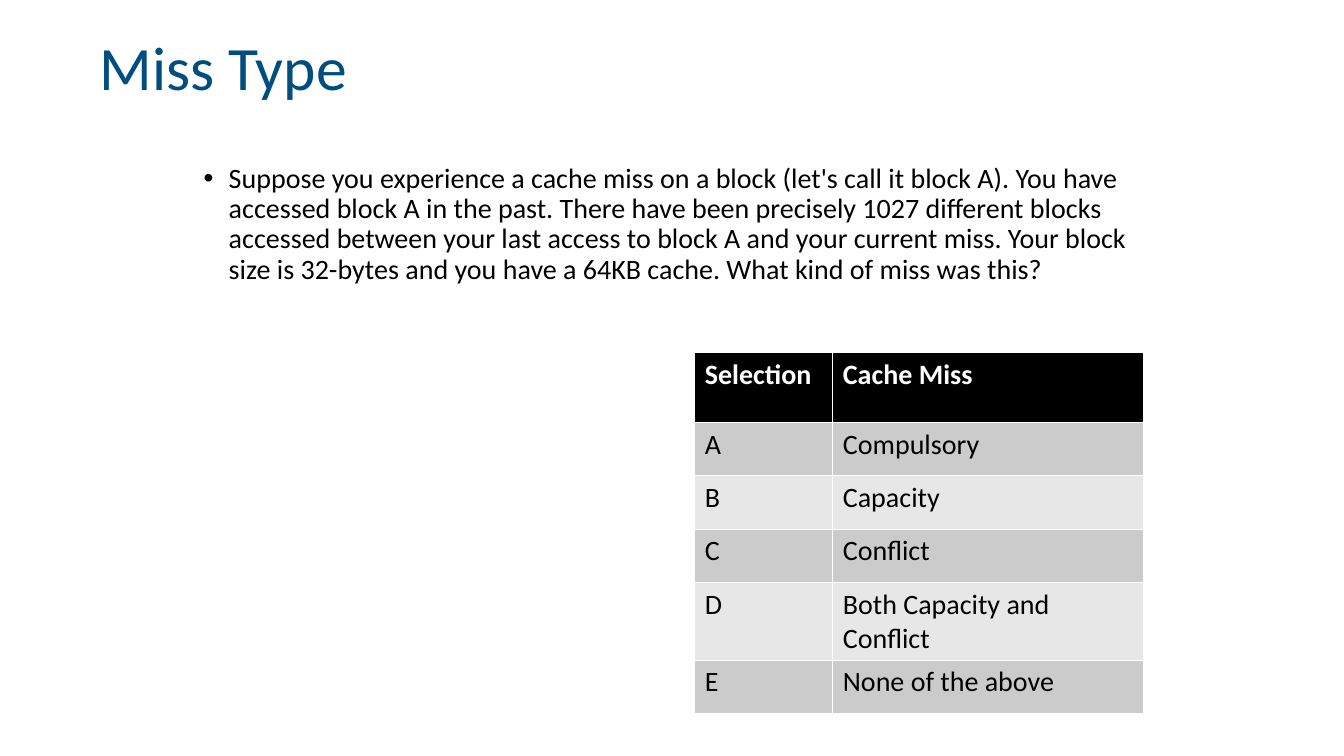
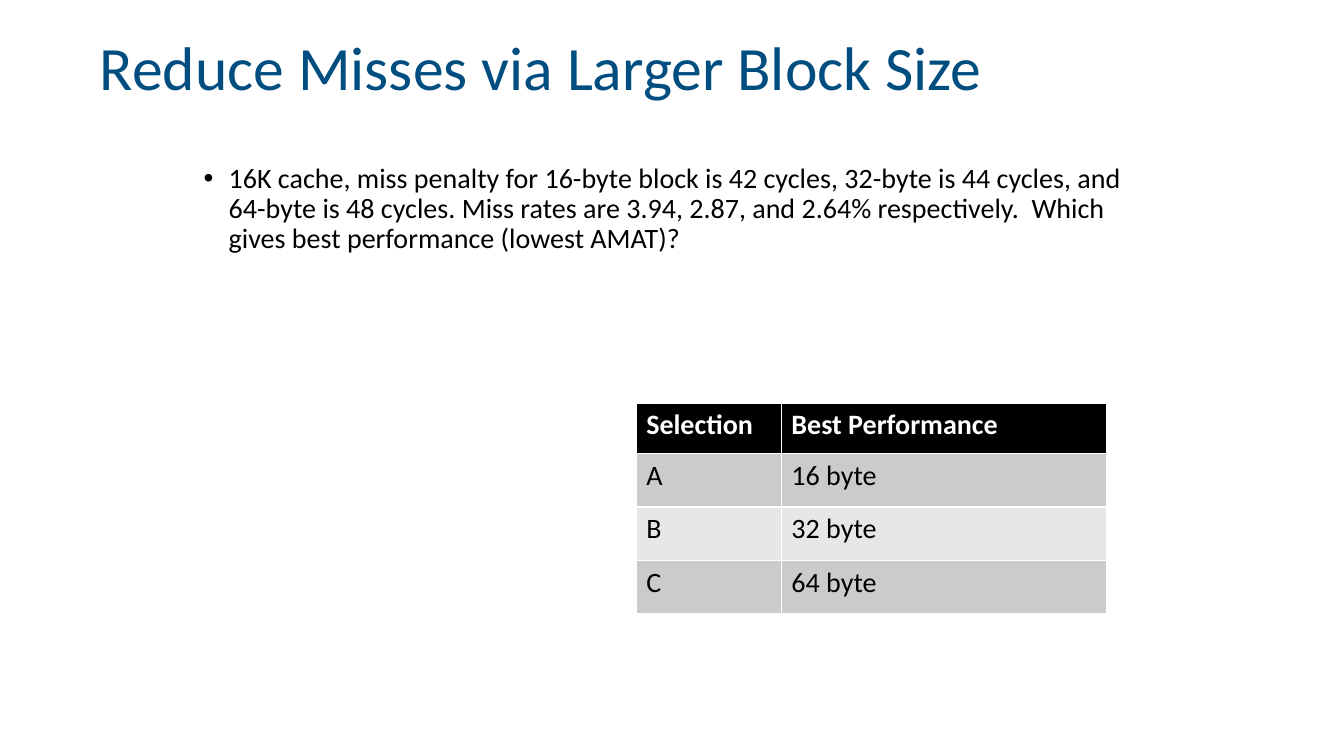
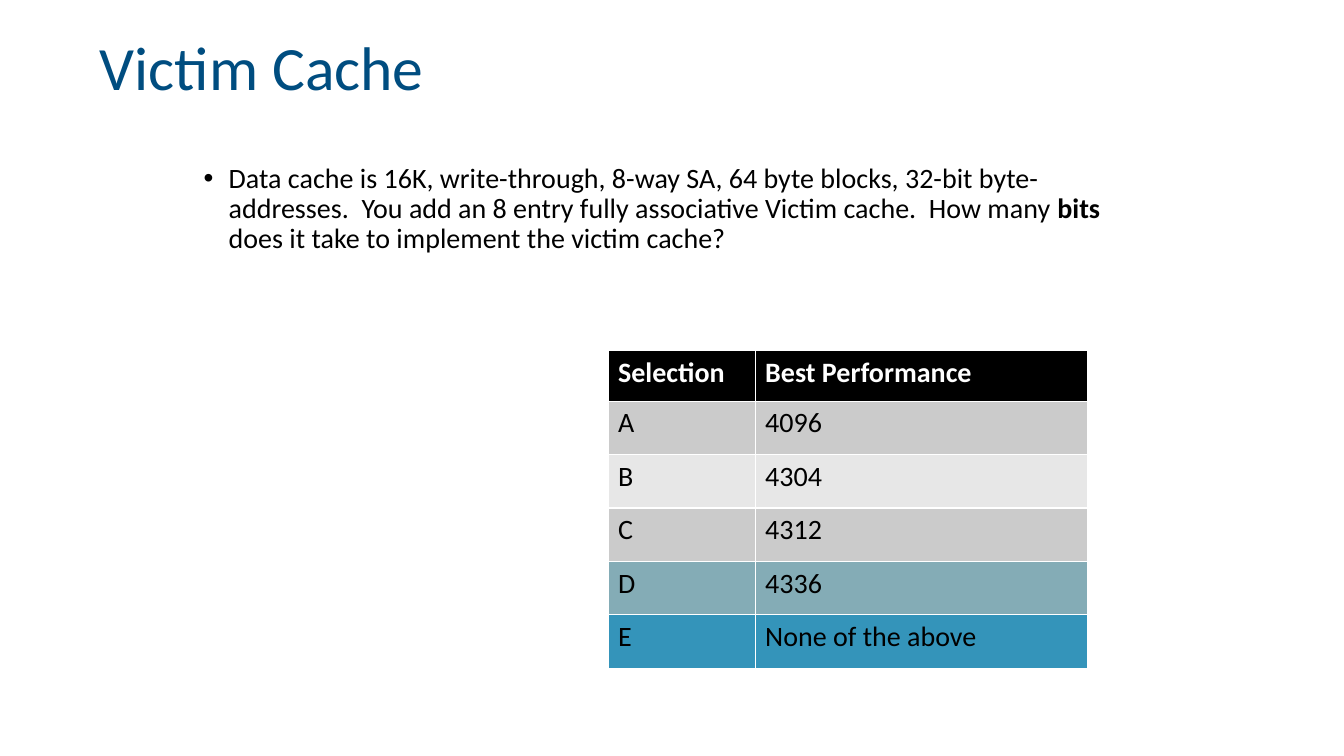
"""Build three cache quiz slides, each with a title, a question and an answer table."""
from dataclasses import dataclass

from lxml.etree import SubElement
from pptx import Presentation
from pptx.dml.color import RGBColor as Color
from pptx.enum.text import MSO_ANCHOR as Anchor, PP_ALIGN as Align
from pptx.oxml.ns import qn
from pptx.util import Inches, Pt


@dataclass(frozen=True)
class Theme:
    font: str = "Calibri"
    title_size: int = 44
    text_size: int = 20
    title: str = "004D80"
    text: str = "000000"
    header_text: str = "FFFFFF"
    header_fill: str = "000000"
    bands: tuple = ("CBCBCB", "E7E7E7")
    teal: str = "84ACB6"
    blue: str = "3494BA"


theme = Theme()


def style(paragraph, size, color, bold=False):
    font = paragraph.font
    font.name, font.size, font.bold = theme.font, Pt(size), bold
    font.color.rgb = Color.from_string(color)


def place(shape, left, top, width, height):
    shape.left, shape.top = Inches(left), Inches(top)
    shape.width, shape.height = Inches(width), Inches(height)


row_height = 0.53
quizzes = [
    {
        "title": "Miss Type",
        "question": [
            ("Suppose you experience a cache miss on a block (let's call it block A). "
             "You have accessed block A in the past. There have been precisely 1027 "
             "different blocks accessed between your last access to block A and your "
             "current miss. Your block size is 32-bytes and you have a 64KB cache. "
             "What kind of miss was this?", False),
        ],
        "header": "Cache Miss",
        "answers": ["Compulsory", "Capacity", "Conflict",
                    "Both Capacity and Conflict", "None of the above"],
        "position": (6.89, 3.5),
        "columns": (1.37, 3.08),
        "heights": {0: 0.69, 4: 0.77},
        "highlights": {},
    },
    {
        "title": "Reduce Misses via Larger Block Size",
        "question": [
            ("16K cache, miss penalty for 16-byte block is 42 cycles, 32-byte is 44 "
             "cycles, and 64-byte is 48 cycles. Miss rates are 3.94, 2.87, and 2.64% "
             "respectively.  Which gives best performance (lowest AMAT)?", False),
        ],
        "header": "Best Performance",
        "answers": ["16 byte", "32 byte", "64 byte"],
        "position": (6.31, 4),
        "columns": (1.44, 3.23),
        "heights": {0: 0.5},
        "highlights": {},
    },
    {
        "title": "Victim Cache",
        "question": [
            ("Data cache is 16K, write-through, 8-way SA, 64 byte blocks, 32-bit "
             "byte-addresses.  You add an 8 entry fully associative Victim cache.  "
             "How many ", False),
            ("bits", True),
            (" does it take to implement the victim cache?", False),
        ],
        "header": "Best Performance",
        "answers": ["4096", "4304", "4312", "4336", "None of the above"],
        "position": (6.03, 3.48),
        "columns": (1.46, 3.3),
        "heights": {0: 0.5},
        "highlights": {4: theme.teal, 5: theme.blue},
    },
]

presentation = Presentation()
presentation.slide_width, presentation.slide_height = Inches(13.33), Inches(7.5)
title_only = presentation.slide_layouts[5]

for quiz in quizzes:
    slide = presentation.slides.add_slide(title_only)

    title = slide.shapes.title
    place(title, 0.89, 0.08, 11.33, 1.25)
    title.text_frame.text = quiz["title"]
    title.text_frame.vertical_anchor = Anchor.MIDDLE
    paragraph = title.text_frame.paragraphs[0]
    paragraph.alignment, paragraph.line_spacing = Align.LEFT, 0.9
    style(paragraph, theme.title_size, theme.title)

    question = slide.shapes.add_textbox(
        Inches(1.92), Inches(1.58), Inches(9.42), Inches(4.5))
    question.text_frame.word_wrap = True
    paragraph = question.text_frame.paragraphs[0]
    paragraph.line_spacing, paragraph.space_before = 0.9, Pt(10)
    style(paragraph, theme.text_size, theme.text)
    for text, bold in quiz["question"]:
        run = paragraph.add_run()
        run.text = text
        if bold:
            run.font.bold = True
    properties = paragraph._p.get_or_add_pPr()
    properties.set("marL", str(Inches(0.25)))
    properties.set("indent", str(-Inches(0.25)))
    bullet_font = SubElement(properties, qn("a:buFont"), typeface="Arial")
    bullet_font.addnext(SubElement(properties, qn("a:buChar"), char="•"))
    properties.append(properties.find(qn("a:defRPr")))

    rows = [("Selection", quiz["header"]), *zip("ABCDE", quiz["answers"])]
    heights = [quiz["heights"].get(index, row_height) for index in range(len(rows))]
    left, top = quiz["position"]
    table = slide.shapes.add_table(
        len(rows), 2, Inches(left), Inches(top),
        Inches(sum(quiz["columns"])), Inches(sum(heights))).table
    for column, width in zip(table.columns, quiz["columns"]):
        column.width = Inches(width)
    for index, (texts, height) in enumerate(zip(rows, heights)):
        is_header = index == 0
        band = theme.bands[(index - 1) % 2]
        fill = theme.header_fill if is_header else quiz["highlights"].get(index, band)
        color = theme.header_text if is_header else theme.text
        table.rows[index].height = Inches(height)
        for cell, text in zip(table.rows[index].cells, texts):
            cell.text = text
            cell.fill.solid()
            cell.fill.fore_color.rgb = Color.from_string(fill)
            style(cell.text_frame.paragraphs[0], theme.text_size, color, is_header)

presentation.save("out.pptx")
